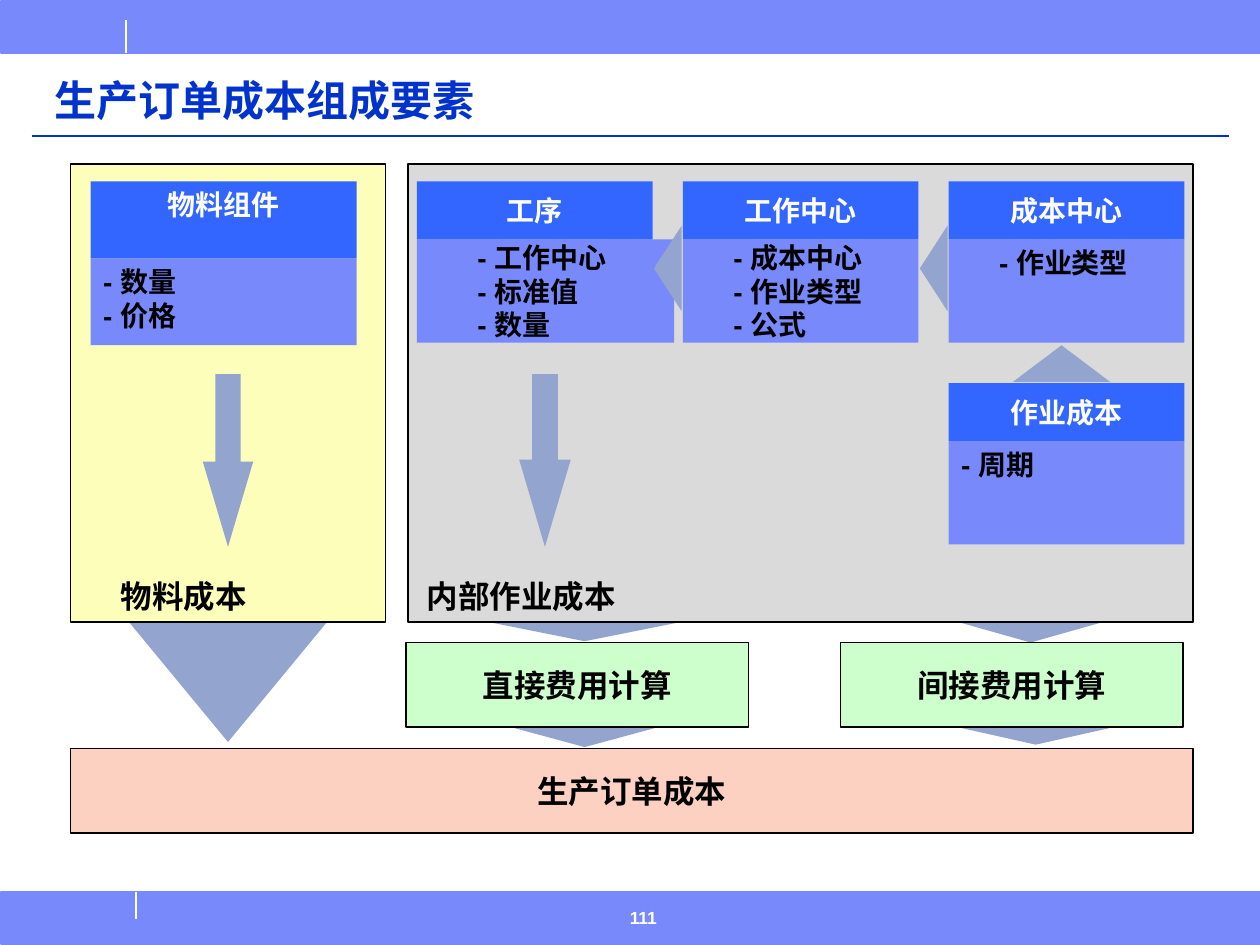
import pptx
import pptx.util
import pptx.dml.color
import pptx.enum.shapes
import pptx.enum.text
import pptx.oxml.ns
import lxml.etree

SHAPE = pptx.enum.shapes.MSO_SHAPE
ANCHOR = pptx.enum.text.MSO_ANCHOR
ALIGN = pptx.enum.text.PP_ALIGN
BLUE, HEAD, BODY, ARROW = "0033CC", "3366FF", "7889FB", "93A4CF"
BLACK, WHITE = "000000", "FFFFFF"

prs = pptx.Presentation()
prs.slide_width = pptx.util.Inches(10)
prs.slide_height = pptx.util.Inches(7.5)
COL = prs.slide_width / 100
ROW = prs.slide_height / 75


def rgb(value):
    return pptx.dml.color.RGBColor.from_string(value)


def grid(x, y, w, h):
    return [round(v) for v in (x * COL, y * ROW, w * COL, h * ROW)]


def inside(box, x, y, w, h):
    return box[0] + x, box[1] + y, w, h


def write(sp, lines, size, color, align=ALIGN.LEFT, anchor=ANCHOR.TOP,
          wrap=True, indent=0, font="Arial"):
    tf = sp.text_frame
    tf.word_wrap = wrap
    tf.vertical_anchor = anchor
    tf.margin_left = round((1 + indent) * COL)
    tf.text = "\n".join(lines)
    for p in tf.paragraphs:
        p.alignment = align
        p.font.size = pptx.util.Pt(size)
        p.font.name = font
        p.font.bold = True
        p.font.color.rgb = rgb(color)


def shape(s, kind, box, fill, line=None):
    sp = s.shapes.add_shape(kind, *grid(*box))
    sp.shadow.inherit = False
    sp.fill.solid()
    sp.fill.fore_color.rgb = rgb(fill)
    if line:
        sp.line.color.rgb = rgb(line)
        sp.line.width = pptx.util.Pt(1)
    else:
        sp.line.fill.background()
    return sp


def label(s, box, text, size, color):
    sp = s.shapes.add_textbox(*grid(*box))
    write(sp, [text], size, color, wrap=False)


def rule(s, x1, y1, x2, y2, color):
    ends = grid(x1, y1, x2, y2)
    cn = s.shapes.add_connector(pptx.enum.shapes.MSO_CONNECTOR.STRAIGHT, *ends)
    cn.line.color.rgb = rgb(color)
    cn.line.width = pptx.util.Pt(1)
    lxml.etree.SubElement(cn._element.spPr, pptx.oxml.ns.qn("a:effectLst"))


def triangle(s, box, rotation=0, flip=False):
    sp = shape(s, SHAPE.ISOSCELES_TRIANGLE, box, ARROW)
    sp.rotation = rotation
    if flip:
        sp._element.spPr.find(pptx.oxml.ns.qn("a:xfrm")).set("flipV", "1")


def down_arrow(s, box):
    sp = shape(s, SHAPE.DOWN_ARROW, box, ARROW)
    sp.adjustments[0] = 0.5
    sp.adjustments[1] = 1.69


def banner(s, box, text, fill):
    sp = shape(s, SHAPE.RECTANGLE, box, fill, BLACK)
    write(sp, [text], 18, BLACK, ALIGN.CENTER, ANCHOR.MIDDLE)


def card(s, box, title, items, head_h=4.6, body_w=None, indent=0,
         head_anchor=ANCHOR.MIDDLE, body_anchor=ANCHOR.TOP):
    x, y, w, h = box
    body = shape(s, SHAPE.RECTANGLE, (x, y + head_h, body_w or w, h - head_h), BODY)
    write(body, ["- " + item for item in items], 16, BLACK,
          anchor=body_anchor, indent=indent)
    head = shape(s, SHAPE.RECTANGLE, (x, y, w, head_h), HEAD)
    write(head, [title], 16, WHITE, ALIGN.CENTER, head_anchor)


def frame(s, title, number):
    for y in (0.1, 70.8):
        shape(s, SHAPE.RECTANGLE, (0.1, y, 99.9, 4.1), BODY, BODY)
    rule(s, 10, 1.6, 10, 4.2, WHITE)
    rule(s, 10.8, 70.8, 10.8, 72.9, WHITE)
    rule(s, 2.5, 10.8, 97.5, 10.8, BLUE)
    sp = s.shapes.title
    sp.left, sp.top, sp.width, sp.height = grid(3.3, 5, 91.8, 5.5)
    write(sp, [title], 24, BLUE, anchor=ANCHOR.BOTTOM, font="Times New Roman")
    sp.text_frame.paragraphs[0].line_spacing = 0.9
    label(s, (49, 71.5, 8.3, 3.5), number, 10, WHITE)


def material_panel(s, box):
    shape(s, SHAPE.RECTANGLE, box, "FCFEB9", BLACK)
    card(s, inside(box, 1.6, 1.4, 21.1, 13), "物料组件", ["数量", "价格"],
         head_h=6.1, head_anchor=ANCHOR.TOP)
    down_arrow(s, inside(box, 10.5, 16.7, 4, 13.7))
    label(s, inside(box, 3, 32.3, 12, 4), "物料成本", 18, BLACK)


def activity_panel(s, box):
    shape(s, SHAPE.RECTANGLE, box, "DADADA", BLACK)
    step, w, h = 21.1, 18.7, 12.8
    columns = [
        ("工序", ["工作中心", "标准值", "数量"], 20.4, 3.8, ANCHOR.MIDDLE),
        ("工作中心", ["成本中心", "作业类型", "公式"], w, 3, ANCHOR.MIDDLE),
        ("成本中心", ["作业类型"], w, 3, ANCHOR.TOP),
    ]
    for i, (title, items, body_w, indent, anchor) in enumerate(columns):
        card(s, inside(box, 0.7 + i * step, 1.4, w, h), title, items,
             body_w=body_w, indent=indent, body_anchor=anchor)
    card(s, inside(box, 0.7 + 2 * step, 17.4, w, h), "作业成本", ["周期"])
    triangle(s, inside(box, 48, 14.4, 7.7, 2.9))
    for i in range(2):
        triangle(s, inside(box, 17.2 + i * step, 7.2, 6.8, 2.2), rotation=270)
    down_arrow(s, inside(box, 8.8, 16.7, 4.1, 13.7))
    label(s, inside(box, 0.5, 32.3, 17, 4), "内部作业成本", 18, BLACK)


def cost_flow(s, box):
    flows = [(4, 0, 10.3), (32.3, 0.6, 1.7), (32.3, 8.4, 2.3),
             (67.7, 0, 2.4), (68.1, 8.6, 1.9)]
    for x, y, h in flows:
        triangle(s, inside(box, x, y, 17, h), flip=True)
    for x, text in ((26.6, "直接费用计算"), (61.1, "间接费用计算")):
        banner(s, inside(box, x, 2.4, 27.2, 6.7), text, "CCFFCC")
    banner(s, inside(box, 0, 10.8, box[2], 6.7), "生产订单成本", "FCD1C1")


def main():
    s = prs.slides.add_slide(prs.slide_layouts[5])
    frame(s, "生产订单成本组成要素", "111")
    cost_flow(s, (5.6, 48.6, 89.1, 17.5))
    material_panel(s, (5.6, 13, 25, 36.4))
    activity_panel(s, (32.4, 13, 62.3, 36.4))
    prs.save("out.pptx")


if __name__ == "__main__":
    main()
